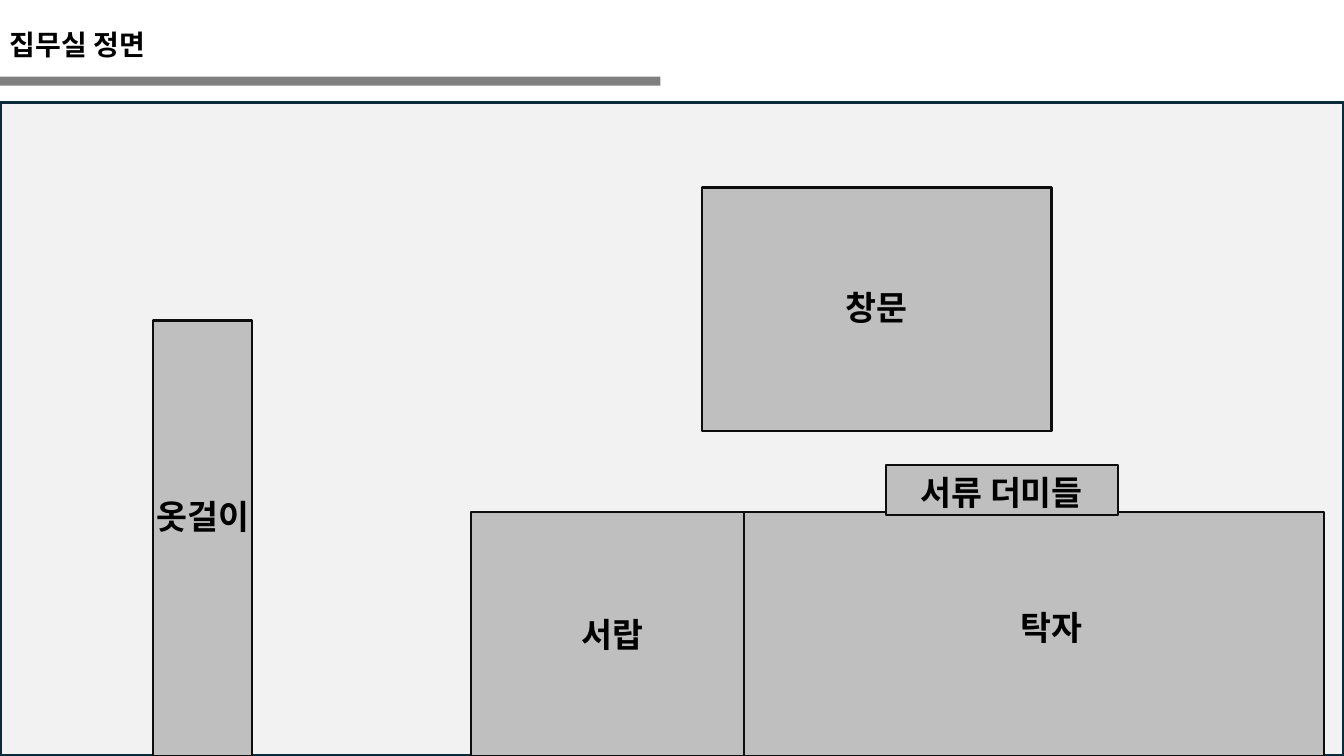
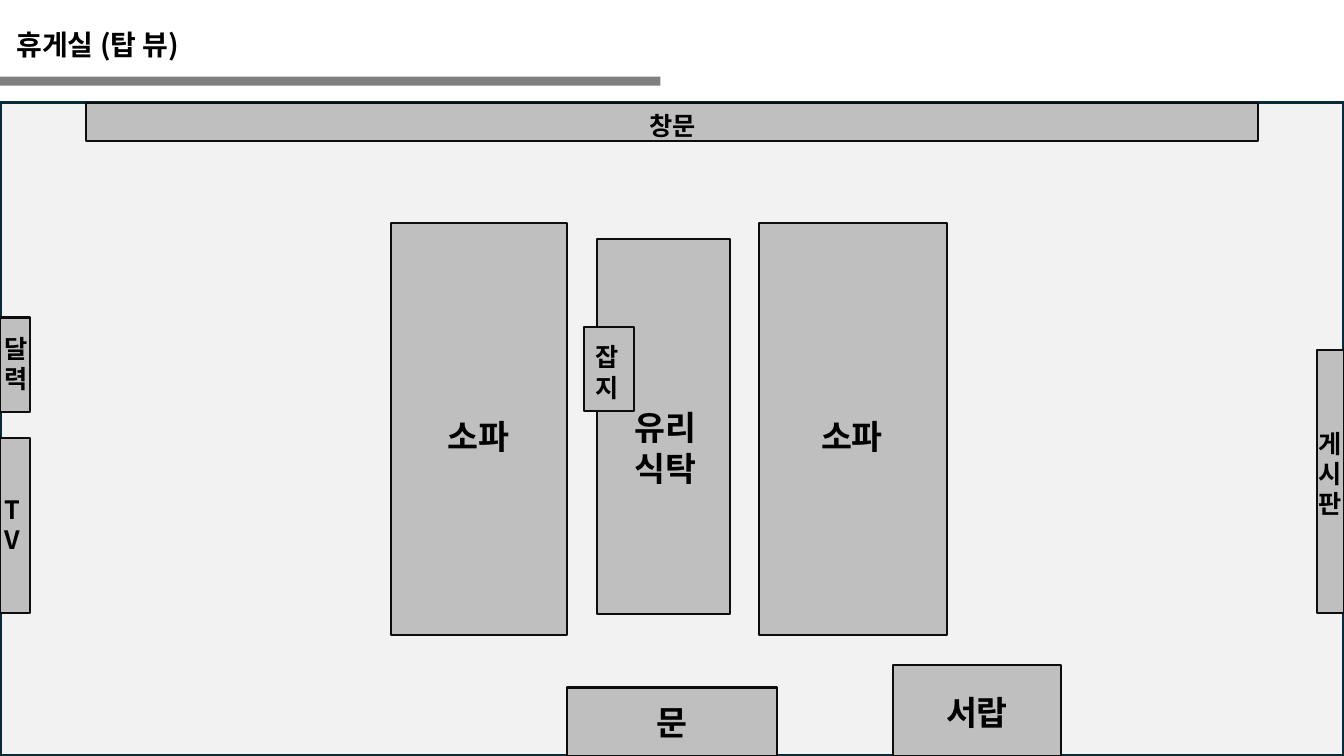
"""Build two room layout slides: an office front view and a lounge top view."""
from lxml import etree
from pptx import Presentation
from pptx.dml.color import RGBColor
from pptx.enum.shapes import MSO_SHAPE as Shape
from pptx.enum.text import MSO_AUTO_SIZE as AutoSize, PP_ALIGN as Align
from pptx.oxml.ns import qn
from pptx.util import Inches, Pt

FONT = "Noto Sans CJK KR"
BLACK = RGBColor(0x00, 0x00, 0x00)
BAND = RGBColor(0x80, 0x80, 0x80)
FLOOR = RGBColor(0xF2, 0xF2, 0xF2)
WALL = RGBColor(0x09, 0x2A, 0x39)
ITEM = RGBColor(0xBF, 0xBF, 0xBF)
EDGE = RGBColor(0x0D, 0x0D, 0x0D)

ROOMS = [
    ("집무실 정면", [
        ("탁자", 24, (7.38, 5.08, 5.75, 2.42), (9.37, 5.97, 2.11)),
        ("서랍", 24, (4.67, 5.08, 2.71, 2.42), (5.02, 6.04, 2.11)),
        ("옷걸이", 24, (1.52, 3.18, 0.98, 4.32), (0.96, 4.87, 2.11)),
        ("창문", 24, (6.96, 1.86, 3.47, 2.42), (7.64, 2.8, 2.11)),
        ("서류 더미들", 24, (8.79, 4.61, 2.3, 0.5), (8.88, 4.63, 2.11)),
    ]),
    (" 휴게실 (탑 뷰)", [
        ("문", 24, (5.62, 6.82, 2.09, 0.68), (6.3, 6.91, 0.73)),
        ("창문", 18, (0.85, 1.02, 11.63, 0.38), (6.18, 1.05, 0.98)),
        ("소파", 24, (3.88, 2.21, 1.74, 4.09), (4.01, 4.08, 1.48)),
        ("소파", 24, (7.53, 2.21, 1.86, 4.09), (7.71, 4.08, 1.48)),
        ("유리\n식탁", 24, (5.92, 2.37, 1.32, 3.72), (5.86, 3.99, 1.48)),
        ("서랍", 24, (8.86, 6.6, 1.66, 0.9), (8.95, 6.82, 1.48)),
        ("T\nV", 18, (0, 4.35, 0.3, 1.73), (-0.13, 4.85, 0.51)),
        ("달\n력", 18, (0, 3.15, 0.3, 0.94), (-0.1, 3.26, 0.51)),
        ("게\n시\n판", 18, (13.06, 3.47, 0.27, 2.61), (12.94, 4.2, 0.51)),
        ("잡지", 18, (5.79, 3.24, 0.5, 0.84), (5.77, 3.34, 0.51)),
    ]),
]


def add_block(page, place, fill, line=None, weight=0):
    block = page.shapes.add_shape(Shape.RECTANGLE, *map(Inches, place))
    block.shadow.inherit = False
    block.fill.solid()
    block.fill.fore_color.rgb = fill
    if line is None:
        block.line.fill.background()
    else:
        block.line.color.rgb = line
        block.line.width = Pt(weight)


def add_label(page, text, size, place, align):
    lines = text.split("\n")
    height = 0.1 + len(lines) * size / 60
    box = page.shapes.add_textbox(*map(Inches, (*place, height)))
    frame = box.text_frame
    frame.word_wrap = True
    frame.auto_size = AutoSize.SHAPE_TO_FIT_TEXT
    frame.text = text
    for para in frame.paragraphs:
        para.alignment = align
        for span in para.runs:
            for name, value in {"name": FONT, "size": Pt(size), "bold": True}.items():
                setattr(span.font, name, value)
            span.font.color.rgb = BLACK
            east_asian = etree.SubElement(span.font._element, qn("a:ea"))
            east_asian.set("typeface", FONT)


deck = Presentation()
deck.slide_width = Inches(13.33)
deck.slide_height = Inches(7.5)

for title, items in ROOMS:
    page = deck.slides.add_slide(deck.slide_layouts[6])
    add_block(page, (0, 0.76, 6.55, 0.09), BAND)
    add_label(page, title, 20, (0, 0.22, 4.66), Align.LEFT)
    add_block(page, (0, 1.02, 13.33, 6.48), FLOOR, WALL, 2.25)
    for text, size, block_place, label_place in items:
        add_block(page, block_place, ITEM, EDGE, 1.5)
        add_label(page, text, size, label_place, Align.CENTER)

deck.save("out.pptx")
